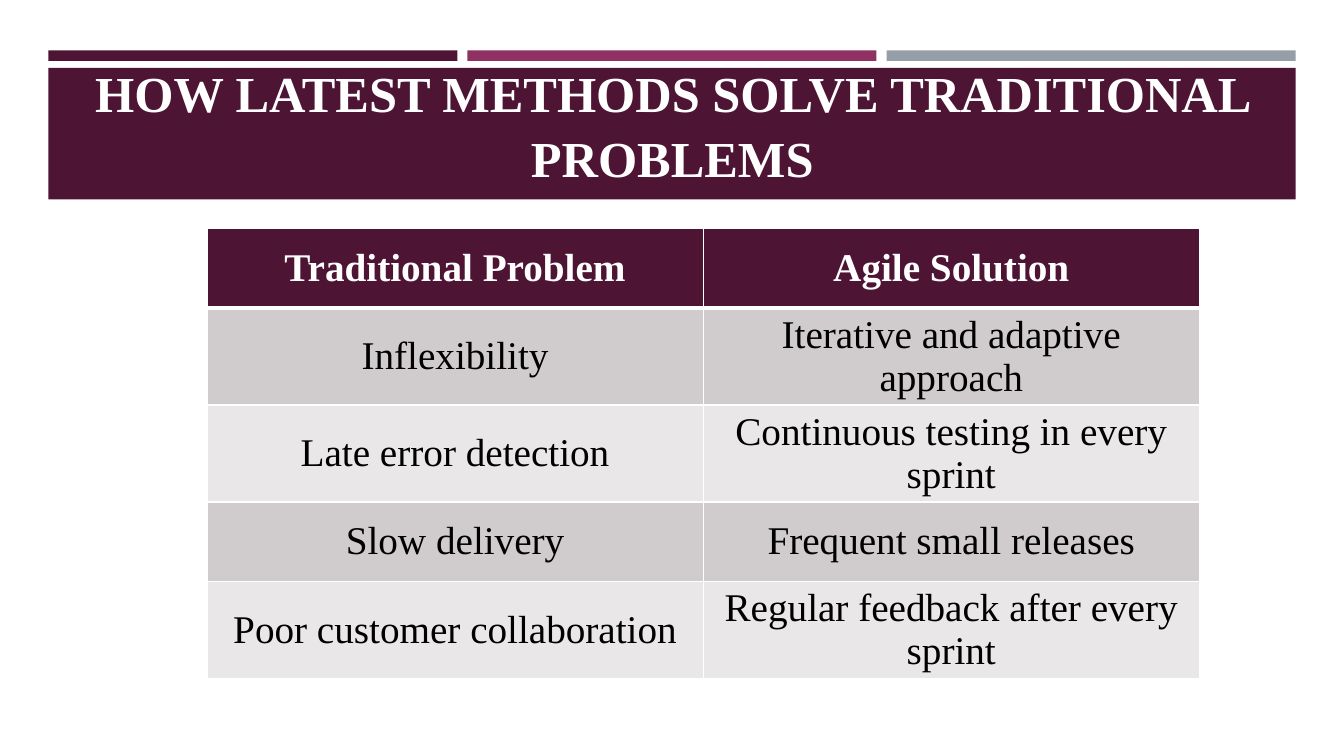
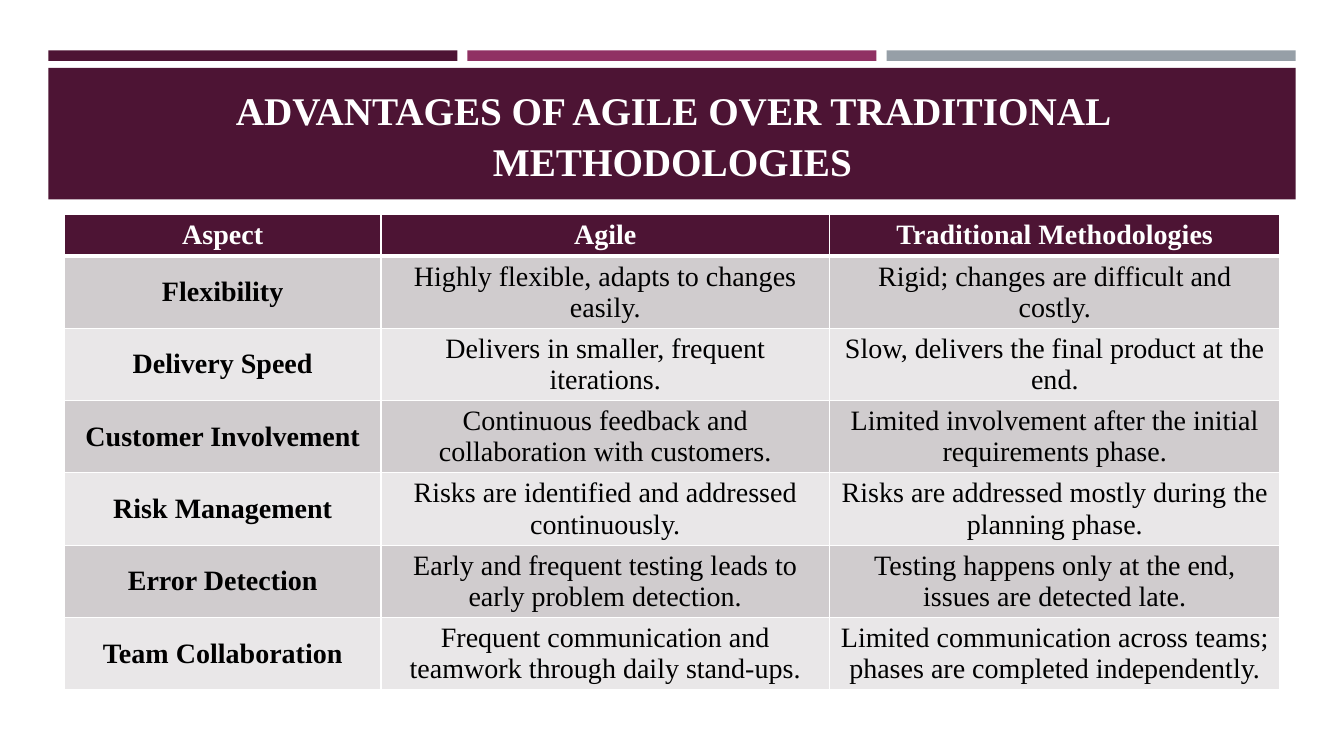
"""Build two slides that compare agile and traditional methods in tables."""
from dataclasses import dataclass

import pptx
import pptx.dml.color
import pptx.enum.shapes
import pptx.enum.text
import pptx.oxml
import pptx.oxml.ns
import pptx.util


@dataclass(frozen=True)
class Theme:
    """Colours, fonts and sizes shared by the deck."""
    plum: str = "4D1434"
    berry: str = "903163"
    steel: str = "969FA7"
    white: str = "FFFFFF"
    black: str = "000000"
    stripes: tuple = ("D0CCCE", "E9E7E8")
    font: str = "Times New Roman"
    large: int = 36
    medium: int = 28
    small: int = 20
    title_spacing: float = 1.08
    thin: int = 1
    thick: int = 3


THEME = Theme()
WIDTH = pptx.util.Inches(13.33)
HEIGHT = pptx.util.Inches(7.5)
MARGIN, BAND_WIDTH, BAR_GAP = 3.6, 92.8, 0.75
INNER_LEFT, INNER_WIDTH = 4.8, 90.45

PROBLEMS = [
    ("Traditional Problem", "Agile Solution"),
    ("Inflexibility", "Iterative and adaptive approach"),
    ("Late error detection", "Continuous testing in every sprint"),
    ("Slow delivery", "Frequent small releases"),
    ("Poor customer collaboration", "Regular feedback after every sprint"),
]
ADVANTAGES = [
    ("Aspect", "Agile", "Traditional Methodologies"),
    ("Flexibility", "Highly flexible, adapts to changes easily.",
     "Rigid; changes are difficult and costly."),
    ("Delivery Speed", "Delivers in smaller, frequent iterations.",
     "Slow, delivers the final product at the end."),
    ("Customer Involvement", "Continuous feedback and collaboration with customers.",
     "Limited involvement after the initial requirements phase."),
    ("Risk Management", "Risks are identified and addressed continuously.",
     "Risks are addressed mostly during the planning phase."),
    ("Error Detection", "Early and frequent testing leads to early problem detection.",
     "Testing happens only at the end, issues are detected late."),
    ("Team Collaboration", "Frequent communication and teamwork through daily stand-ups.",
     "Limited communication across teams; phases are completed independently."),
]


def across(percent):
    """Return a percentage of the slide width."""
    return round(WIDTH * percent / 100)


def down(percent):
    """Return a percentage of the slide height."""
    return round(HEIGHT * percent / 100)


def area(left, top, width, height):
    """Return a rectangle given in percentages of the slide."""
    return across(left), down(top), across(width), down(height)


def paint(fill, color):
    """Make a fill solid in one colour."""
    fill.solid()
    fill.fore_color.rgb = pptx.dml.color.RGBColor.from_string(color)


def write(frame, text, size, color, bold):
    """Put one centred paragraph into a text frame."""
    frame.text = text
    para = frame.paragraphs[0]
    para.alignment = pptx.enum.text.PP_ALIGN.CENTER
    font = para.runs[0].font
    font.name, font.size, font.bold = THEME.font, pptx.util.Pt(size), bold
    font.color.rgb = pptx.dml.color.RGBColor.from_string(color)
    return para


def add_layout_block(layout, page, bounds, color):
    """Place a filled rectangle behind the placeholders of the layout."""
    block = page.shapes.add_shape(
        pptx.enum.shapes.MSO_SHAPE.RECTANGLE, *area(*bounds))
    block.shadow.inherit = False
    paint(block.fill, color)
    block.line.fill.background()
    layout.shapes.element.insert(2, block.element)


def decorate_layout(layout, page):
    """Give the layout its three bars and title band."""
    colors = (THEME.plum, THEME.berry, THEME.steel)
    bar_width = (BAND_WIDTH - BAR_GAP * (len(colors) - 1)) / len(colors)
    for index, color in enumerate(colors):
        left = MARGIN + index * (bar_width + BAR_GAP)
        add_layout_block(layout, page, (left, 6.67, bar_width, 1.4), color)
    add_layout_block(layout, page, (MARGIN, 8.97, BAND_WIDTH, 17.4), THEME.plum)


def set_title(page, text, size, top, height):
    """Fill and place the title placeholder."""
    title = page.shapes.title
    title.left, title.top, title.width, title.height = area(
        INNER_LEFT, top, INNER_WIDTH, height)
    frame = title.text_frame
    frame.word_wrap = True
    frame.auto_size = pptx.enum.text.MSO_AUTO_SIZE.NONE
    frame.vertical_anchor = pptx.enum.text.MSO_ANCHOR.BOTTOM
    para = write(frame, text, size, THEME.white, True)
    para.line_spacing = THEME.title_spacing


def set_borders(cell, top, bottom):
    """Draw white borders around a cell, widths in points."""
    properties = cell._tc.get_or_add_tcPr()
    widths = {"lnL": THEME.thin, "lnR": THEME.thin, "lnT": top, "lnB": bottom}
    for index, (tag, width) in enumerate(widths.items()):
        properties.insert(index, pptx.oxml.parse_xml(
            f'<a:{tag} {pptx.oxml.ns.nsdecls("a")} w="{pptx.util.Pt(width)}">'
            f'<a:solidFill><a:srgbClr val="{THEME.white}"/></a:solidFill></a:{tag}>'))


def style_cell(cell, text, size, row, bold):
    """Write one cell and give it the header or stripe look of its row."""
    header = row == 0
    paint(cell.fill, THEME.plum if header else THEME.stripes[(row - 1) % 2])
    cell.vertical_anchor = pptx.enum.text.MSO_ANCHOR.MIDDLE
    write(cell.text_frame, text, size,
          THEME.white if header else THEME.black, header or bold)
    set_borders(cell, THEME.thick if row == 1 else THEME.thin,
                THEME.thick if header else THEME.thin)


def add_grid(page, rows, left, top, columns, row_height, size, bold_first=False):
    """Add a striped table with a header row."""
    bounds = area(left, top, sum(columns), row_height * len(rows))
    table = page.shapes.add_table(len(rows), len(columns), *bounds).table
    for column, width in zip(table.columns, columns):
        column.width = across(width)
    for row, texts in enumerate(rows):
        table.rows[row].height = down(row_height)
        for column, text in enumerate(texts):
            style_cell(table.cell(row, column), text, size, row,
                       bold_first and column == 0)


def main():
    """Build and save the deck."""
    deck = pptx.Presentation()
    deck.slide_width, deck.slide_height = WIDTH, HEIGHT
    layout = deck.slide_layouts.get_by_name("Title Only")

    page = deck.slides.add_slide(layout)
    decorate_layout(layout, page)
    set_title(page, "HOW LATEST METHODS SOLVE TRADITIONAL PROBLEMS",
              THEME.large, 5.47, 20)
    add_grid(page, PROBLEMS, 15.4, 30.27, (36.92, 36.92), 10.5, THEME.medium)

    page = deck.slides.add_slide(layout)
    set_title(page, "ADVANTAGES OF AGILE OVER TRADITIONAL METHODOLOGIES",
              THEME.medium, 10.27, 14.8)
    add_grid(page, ADVANTAGES, INNER_LEFT, 28.4, (23.55, 33.38, 33.52), 5.47,
             THEME.small, bold_first=True)

    deck.save("out.pptx")


if __name__ == "__main__":
    main()
